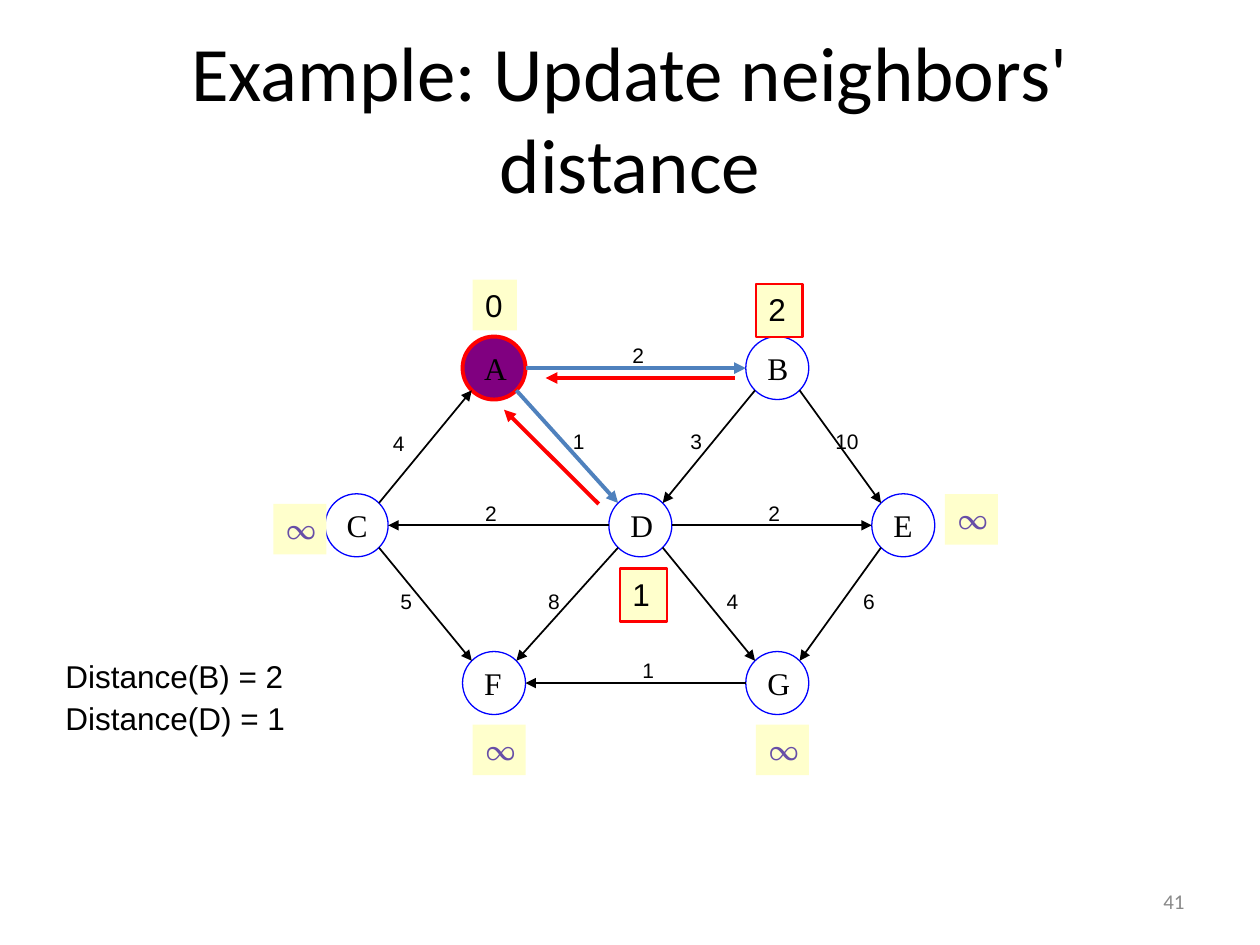
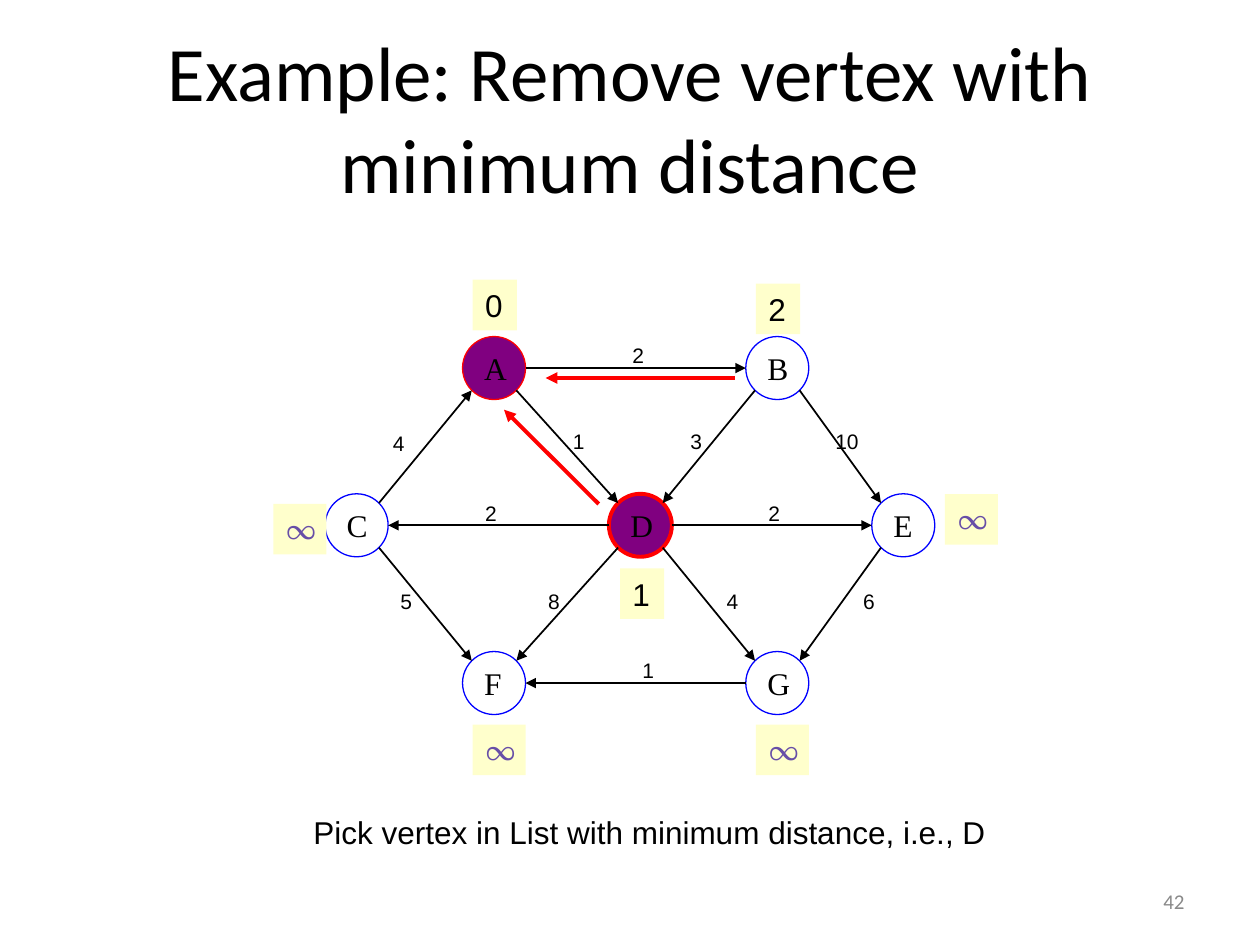
from math import cos, pi

from lxml.etree import SubElement
from pptx import Presentation
from pptx.dml.color import RGBColor
from pptx.enum.shapes import MSO_CONNECTOR, MSO_SHAPE
from pptx.enum.text import MSO_ANCHOR as Anchor, MSO_AUTO_SIZE as AutoSize, PP_ALIGN as Align
from pptx.oxml.ns import qn
from pptx.util import Cm, Pt

COLORS = {
    "ink": "000000", "vertex": "0000FF", "visited": "800080", "active": "FF0000",
    "explored": "4F81BD", "tag": "FFFFCC", "infinity": "674EA7", "number": "898989",
}
SANS, SERIF, TITLE_FONT, SYMBOL_FONT = "Arial", "Times New Roman", "Calibri", "Vollkorn"
THIN, EDGE, THICK = 0.75, 1, 2.25
RADIUS = 0.635
TITLE_ONLY = 5
ROWS = (7.42, 10.59, 13.77)
VERTICES = {
    "A": (9.96, ROWS[0]), "B": (15.67, ROWS[0]),
    "C": (7.19, ROWS[1]), "D": (12.91, ROWS[1]), "E": (18.21, ROWS[1]),
    "F": (9.96, ROWS[2]), "G": (15.67, ROWS[2]),
}
WEIGHTS = {
    "GF": ("1", 12.7, 13.13), "DC": ("2", 9.53, 9.96), "AB": ("2", 12.5, 6.78),
    "DE": ("2", 15.24, 9.96), "BE": ("10", 16.59, 8.51), "EG": ("6", 17.15, 11.73),
    "AD": ("1", 11.3, 8.51), "BD": ("3", 13.67, 8.51), "CA": ("4", 7.67, 8.56),
    "CF": ("5", 7.82, 11.73), "DG": ("4", 14.4, 11.73), "DF": ("8", 10.8, 11.73),
}
DISTANCES = {
    "A": ("0", 9.53, 5.64), "B": ("2", 15.24, 5.72), "C": ("∞", 5.51, 10.16),
    "E": ("∞", 19.05, 9.96), "D": ("1", 12.5, 11.46),
    "F": ("∞", 9.53, 14.61), "G": ("∞", 15.24, 14.61),
}
PARENT_ARROWS = (((12.07, 10.16), (10.16, 8.26)), ((14.81, 7.62), (11, 7.62)))


def color(name):
    """Return the named colour."""
    return RGBColor.from_string(COLORS[name])


def write(shape, text, size, font=SANS, ink="ink", align=Align.LEFT,
          anchor=Anchor.MIDDLE, wrap=False, fit=AutoSize.NONE):
    """Put one formatted run into a shape."""
    frame = shape.text_frame
    frame.word_wrap, frame.auto_size, frame.vertical_anchor = wrap, fit, anchor
    para = frame.paragraphs[0]
    para.alignment = align
    span = para.add_run()
    span.text = text
    span.font.size, span.font.name = Pt(size), font
    span.font.color.rgb = color(ink)


def add_text(page, left, top, width, height, text, size, **style):
    """Add a text box."""
    box = page.shapes.add_textbox(Cm(left), Cm(top), Cm(width), Cm(height))
    write(box, text, size, **style)


def add_panel(page, preset, left, top, width, height, fill=None, line=None, weight=THIN):
    """Add a preset shape with optional fill and outline."""
    panel = page.shapes.add_shape(preset, Cm(left), Cm(top), Cm(width), Cm(height))
    panel.shadow.inherit = False
    for paint, name in ((panel.fill, fill), (panel.line.fill, line)):
        if name:
            paint.solid()
            paint.fore_color.rgb = color(name)
        else:
            paint.background()
    if line:
        panel.line.width = Pt(weight)
    return panel


def add_arrow(page, start, end, ink="ink", weight=EDGE):
    """Add a straight arrow that points at its end."""
    arrow = page.shapes.add_connector(MSO_CONNECTOR.STRAIGHT, *map(Cm, (*start, *end)))
    arrow.line.color.rgb = color(ink)
    arrow.line.width = Pt(weight)
    outline = arrow.element.spPr.find(qn("a:ln"))
    SubElement(outline, qn("a:tailEnd"), type="triangle")
    SubElement(arrow.element.spPr, qn("a:effectLst"))


def add_vertex(page, name, visited, current):
    """Add a vertex circle with its letter."""
    x, y = VERTICES[name]
    circle = add_panel(page, MSO_SHAPE.OVAL, x - RADIUS, y - RADIUS, 2 * RADIUS, 2 * RADIUS,
                       "visited" if name in visited else None,
                       "active" if name in visited else "vertex",
                       THICK if name == current else THIN)
    write(circle, name, 18, font=SERIF)


def add_edge(page, edge, explored):
    """Add an arrow from rim to rim and its weight."""
    (x1, y1), (x2, y2) = (VERTICES[name] for name in edge)
    reach = RADIUS if y1 == y2 else RADIUS * cos(pi / 4)
    dx = reach if x2 > x1 else -reach
    dy = 0 if y1 == y2 else reach if y2 > y1 else -reach
    style = ("explored", THICK) if edge in explored else ("ink", EDGE)
    add_arrow(page, (x1 + dx, y1 + dy), (x2 - dx, y2 - dy), *style)


def add_weight(page, text, left, top):
    """Add the weight of an edge."""
    width = 0.54 + 0.24 * len(text)
    add_text(page, left, top, width, 0.76, text, 12, fit=AutoSize.SHAPE_TO_FIT_TEXT)


def add_distance(page, text, left, top, updated):
    """Add a distance tag, outlined when just updated."""
    unknown = text == "∞"
    grow = 0.05 if updated else 0
    tag = add_panel(page, MSO_SHAPE.RECTANGLE, left, top, (1.07 if unknown else 0.89) + grow,
                    1.02 + grow, "tag", "active" if updated else None, 1.25)
    font, ink = (SYMBOL_FONT, "infinity") if unknown else (SANS, "ink")
    write(tag, text, 18, font=font, ink=ink, anchor=Anchor.TOP,
          fit=AutoSize.SHAPE_TO_FIT_TEXT)


def add_graph(page, visited, current, explored=(), updated=()):
    """Draw the weighted graph in one state of the search."""
    for name in VERTICES:
        add_vertex(page, name, visited, current)
    for edge in WEIGHTS:
        add_edge(page, edge, explored)
    for label in WEIGHTS.values():
        add_weight(page, *label)
    for name, tag in DISTANCES.items():
        add_distance(page, *tag, name in updated)
    for start, end in PARENT_ARROWS:
        add_arrow(page, start, end, "active", THICK)


def add_page(deck, title, number):
    """Add a slide with its title and number."""
    page = deck.slides.add_slide(deck.slide_layouts[TITLE_ONLY])
    heading = page.shapes.title
    heading.left, heading.top, heading.width, heading.height = map(Cm, (1.27, 0.76, 22.86, 3.18))
    write(heading, title, 44, font=TITLE_FONT, align=Align.CENTER, wrap=True)
    add_text(page, 18.2, 17.65, 5.93, 1.02, str(number), 12, font=TITLE_FONT,
             ink="number", align=Align.RIGHT, wrap=True)
    return page


def main():
    """Build the deck."""
    deck = Presentation()
    deck.slide_width, deck.slide_height = Cm(25.4), Cm(19.05)

    page = add_page(deck, "Example: Update neighbors' distance", 41)
    add_graph(page, visited="A", current="A", explored=("AB", "AD"), updated="BD")
    for row, text in enumerate(("Distance(B) = 2", "Distance(D) = 1")):
        add_text(page, 1.07, 13.13 + 0.84 * row, 5.41, 1.02, text, 18,
                 anchor=Anchor.TOP, wrap=True)

    page = add_page(deck, "Example: Remove vertex with minimum distance", 42)
    add_graph(page, visited="AD", current="D")
    add_text(page, 6.07, 16.26, 14.2, 1.02, "Pick vertex in List with minimum distance, i.e., D",
             18, anchor=Anchor.TOP, fit=AutoSize.SHAPE_TO_FIT_TEXT)

    deck.save("out.pptx")


if __name__ == "__main__":
    main()
